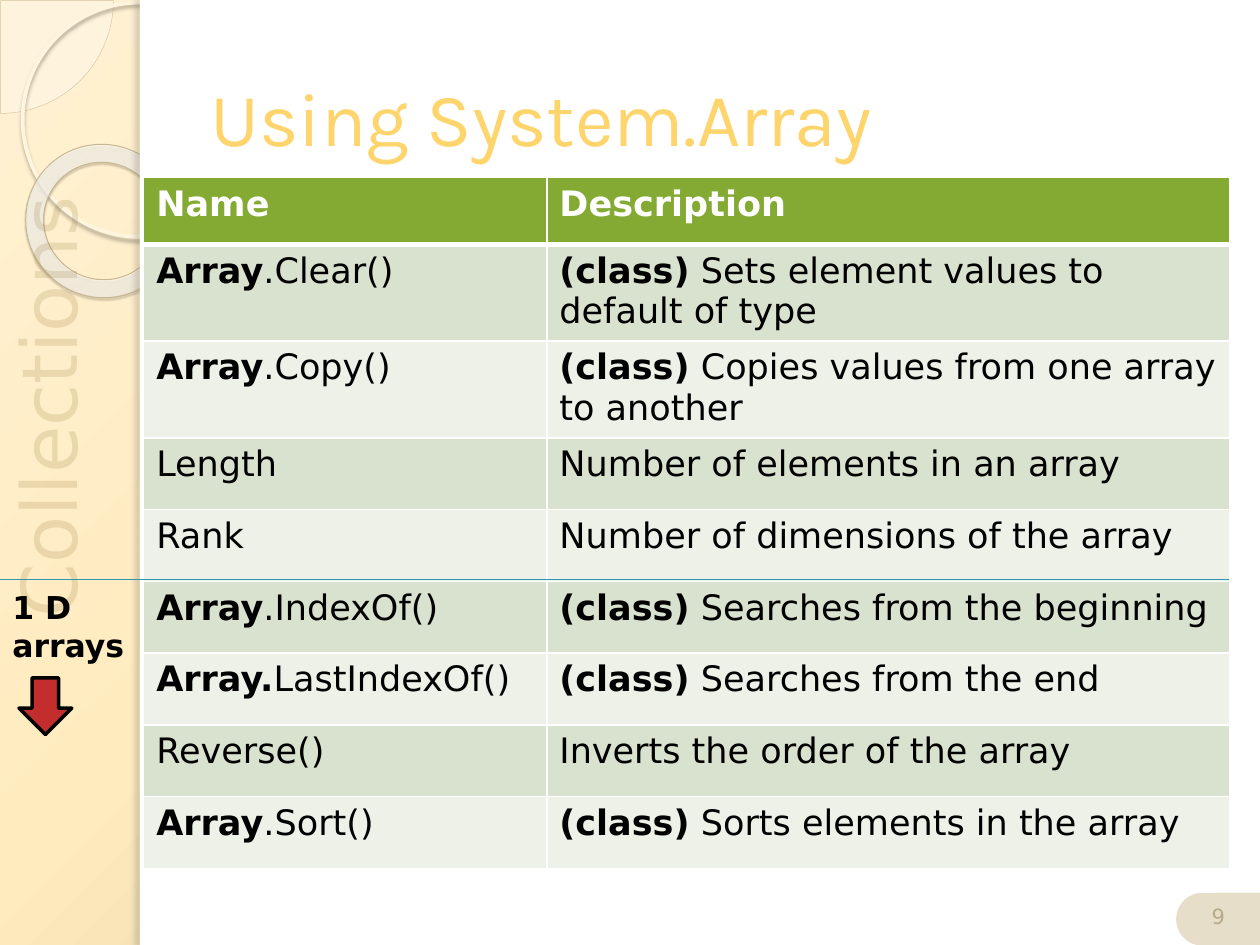
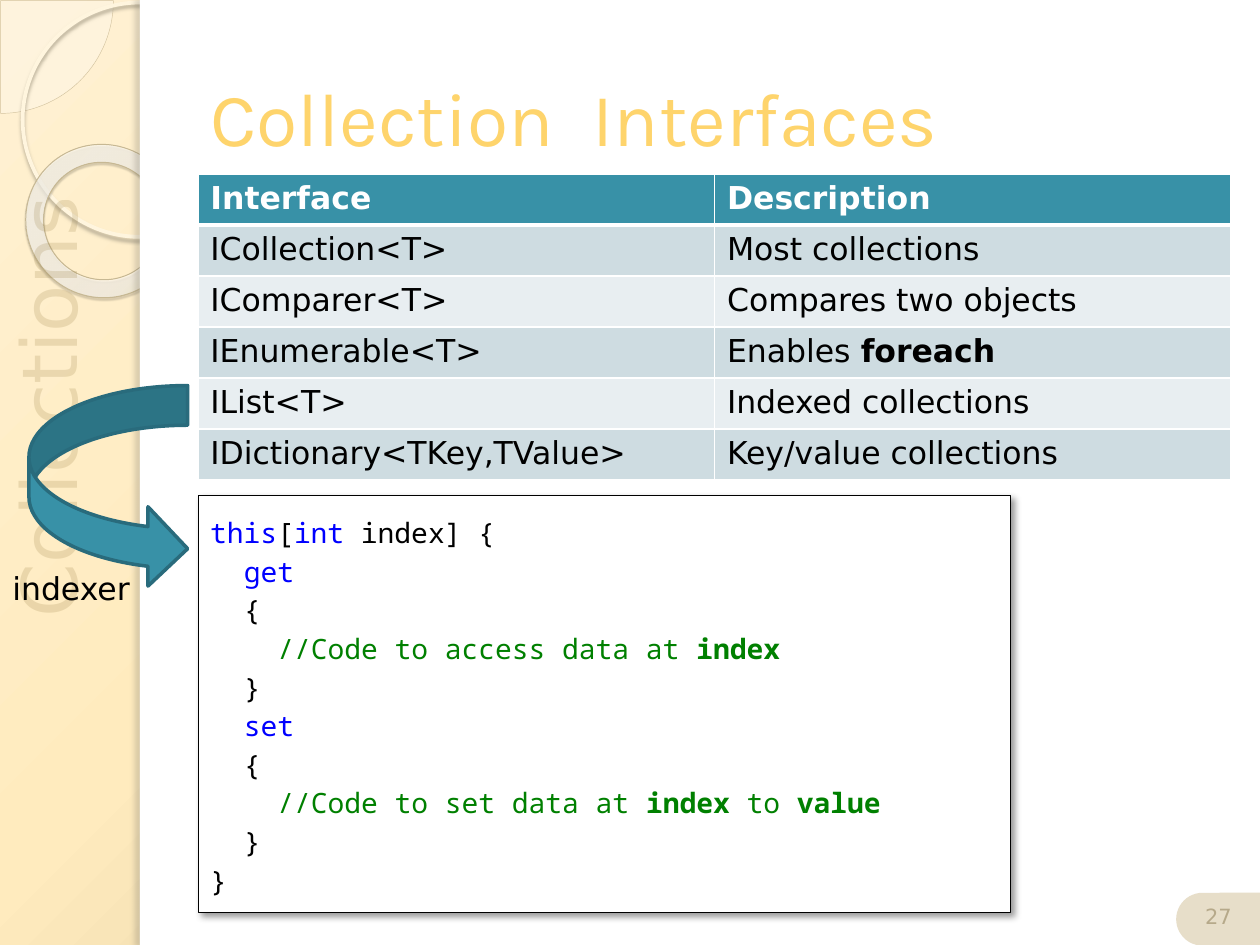
from dataclasses import dataclass
from typing import Optional

from pptx import Presentation
from pptx.dml.color import RGBColor
from pptx.enum.shapes import MSO_CONNECTOR as Line, MSO_SHAPE as Form
from pptx.enum.text import MSO_ANCHOR as Anchor, MSO_AUTO_SIZE as Fit, PP_ALIGN as Align
from pptx.oxml import parse_xml
from pptx.oxml.ns import nsdecls, qn
from pptx.util import Emu, Inches, Pt

COLUMNS, ROWS = 100, 75
WIDTH, HEIGHT = Inches(10), Inches(7.5)
SANS, DISPLAY, MONO = "DejaVu Sans", "Karla", "Noto Sans Mono"
COLORS = {
    "white": "FFFFFF", "black": "000000", "title": "FED46C", "title edge": "4B3E21",
    "wedge": "FEFAF4", "wedge edge": "D3C39F", "ring edge": "FFF5DE",
    "ring shade": "B0A68F", "donut edge": "C7B893", "donut shade": "5A5444",
    "panel shade": "736F63", "side": "C6B07E", "side edge": "967D42",
    "tab": "E7DEC9", "number": "B6A98A",
    "green": "84AA33", "green dark": "D9E2CE", "green light": "EDF1E8",
    "teal": "3891A7", "teal dark": "CEDCE1", "teal light": "E8EEF1",
    "teal edge": "296B7C", "divider": "2D98B2", "red": "C32D2E",
    "keyword": "0000FF", "comment": "008000",
}
SKY = ((0, "FFF1D3", 100), (40, "FFEBBE", 100), (100, "C9B484", 100))
GLASS = ((0, "FFFCF6", 70), (70, "FFFEFB", 55), (100, "F0D28E", 60))


@dataclass(frozen=True)
class Box:
    left: float
    top: float
    width: float
    height: float

    def emu(self) -> tuple:
        return (across(self.left), down(self.top), across(self.width), down(self.height))


@dataclass(frozen=True)
class Style:
    size: float
    font: str = SANS
    color: str = "black"


@dataclass(frozen=True)
class Run:
    text: str
    bold: bool = False
    color: Optional[str] = None
    tracking: float = 0


@dataclass(frozen=True)
class Shade:
    color: str
    alpha: int
    blur: float
    distance: float
    angle: int


@dataclass(frozen=True)
class Grid:
    box: Box
    columns: tuple
    header_height: float
    row_height: float
    size: int
    hue: str
    header: tuple
    body: tuple


def across(columns: float) -> Emu:
    return Emu(round(WIDTH * columns / COLUMNS))


def down(rows: float) -> Emu:
    return Emu(round(HEIGHT * rows / ROWS))


def rgb(name: str) -> RGBColor:
    return RGBColor.from_string(COLORS[name])


def fade(properties, percent: int) -> None:
    color = properties.find(qn("a:solidFill"))[0]
    color.append(parse_xml(f'<a:alpha {nsdecls("a")} val="{percent * 1000}"/>'))


def glow(properties, stops: tuple, focus: tuple) -> None:
    marks = "".join(
        f'<a:gs pos="{at * 1000}"><a:srgbClr val="{color}">'
        f'<a:alpha val="{alpha * 1000}"/></a:srgbClr></a:gs>'
        for at, color, alpha in stops)
    sides = " ".join(f'{side}="{share * 1000}"' for side, share in zip("ltrb", focus))
    gradient = parse_xml(
        f'<a:gradFill {nsdecls("a")} rotWithShape="1"><a:gsLst>{marks}</a:gsLst>'
        f'<a:path path="circle"><a:fillToRect {sides}/></a:path></a:gradFill>')
    properties.replace(properties.find(qn("a:solidFill")), gradient)


def draw(slide, form: Form, box: Box, fill: Optional[str] = None,
         edge: Optional[str] = None, weight: float = 1, turn: float = 0,
         adjust: tuple = (), shade: Optional[Shade] = None):
    shape = slide.shapes.add_shape(form, *box.emu())
    shape.rotation = turn
    for position, value in enumerate(adjust):
        shape.adjustments[position] = value
    if fill:
        shape.fill.solid()
        shape.fill.fore_color.rgb = rgb(fill)
    else:
        shape.fill.background()
    if edge:
        shape.line.color.rgb = rgb(edge)
        shape.line.width = Pt(weight)
    else:
        shape.line.fill.background()
    shape.shadow.inherit = False
    if shade:
        shape._element.spPr.find(qn("a:effectLst")).append(parse_xml(
            f'<a:outerShdw {nsdecls("a")} blurRad="{Pt(shade.blur)}" '
            f'dist="{Pt(shade.distance)}" dir="{shade.angle * 60000}" algn="tl" '
            f'rotWithShape="0"><a:srgbClr val="{COLORS[shade.color]}">'
            f'<a:alpha val="{shade.alpha * 1000}"/></a:srgbClr></a:outerShdw>'))
    return shape


def write(paragraph, runs: tuple, style: Style) -> None:
    for part in runs:
        run = paragraph.add_run()
        run.text = part.text
        run.font.size = Pt(style.size)
        run.font.name = style.font
        run.font.bold = part.bold
        run.font.color.rgb = rgb(part.color or style.color)
        if part.tracking:
            run.font._element.set("spc", str(round(part.tracking * 100)))


def label(slide, box: Box, lines: tuple, style: Style,
          anchor: Anchor = Anchor.TOP, align: Align = Align.LEFT):
    holder = slide.shapes.add_textbox(*box.emu())
    frame = holder.text_frame
    frame.word_wrap = True
    frame.vertical_anchor = anchor
    for index, runs in enumerate(lines):
        paragraph = frame.add_paragraph() if index else frame.paragraphs[0]
        paragraph.alignment = align
        write(paragraph, runs, style)
    return holder


def outline(holder, color: str, weight: float, alpha: int = 100) -> None:
    for run in holder.text_frame.paragraphs[0].runs:
        run.font._element.insert(0, parse_xml(
            f'<a:ln {nsdecls("a")} w="{Pt(weight)}"><a:solidFill>'
            f'<a:srgbClr val="{COLORS[color]}"><a:alpha val="{alpha * 1000}"/>'
            f'</a:srgbClr></a:solidFill></a:ln>'))


def decorate(slide) -> None:
    slide.background.fill.solid()
    glow(slide._element.find(".//" + qn("p:bgPr")), SKY, (-24, -20, 124, 120))
    wedge = draw(slide, Form.PIE, Box(-8.9, -8.9, 17.9, 17.9), "wedge", "wedge edge",
                 0.25, adjust=(0, 54.02))
    fade(wedge._element.spPr, 33)
    draw(slide, Form.OVAL, Box(1.8, 0.2, 18.6, 18.6), None, "ring edge", 2.15,
         shade=Shade("ring shade", 85, 2, 2, 90))
    donut = draw(slide, Form.DONUT, Box(2, 11.5, 12.3, 12.1), "white", "donut edge", 0.58,
                 38.6, (0.118,), Shade("donut shade", 35, 1, 1.2, 75))
    glow(donut._element.spPr, GLASS, (-408, -50, 508, 150))
    draw(slide, Form.RECTANGLE, Box(11.1, 0, 88.9, ROWS), "white")
    draw(slide, Form.RECTANGLE, Box(11.1, 0, 0.8, ROWS), "white",
         shade=Shade("panel shade", 25, 3, 3, 180))
    side = label(slide, Box(2, 0, 7.6, 50), ((Run("Collections"),),),
                 Style(44, SANS, "side"), align=Align.RIGHT)
    side.rotation = 180
    side.text_frame.auto_size = Fit.SHAPE_TO_FIT_TEXT
    side.text_frame._txBody.bodyPr.set("vert", "eaVert")
    lettering = side.text_frame.paragraphs[0]
    lettering.line_spacing = Pt(35)
    fade(lettering.runs[0].font._element, 7)
    outline(side, "side edge", 1.5, 20)
    draw(slide, Form.ROUND_2_SAME_RECTANGLE, Box(94.6, 69.6, 4.2, 6.7), "tab",
         turn=270, adjust=(0.5, 0))


def start(deck, title: tuple, number: int):
    slide = deck.slides.add_slide(deck.slide_layouts[6])
    decorate(slide)
    heading = label(slide, Box(15.7, 3, 82, 12.5), (title,),
                    Style(43, DISPLAY, "title"), Anchor.MIDDLE)
    outline(heading, "title edge", 0.75)
    label(slide, Box(94.2, 69, 5, 5.2), ((Run(str(number)),),),
          Style(12, SANS, "number"), Anchor.BOTTOM, Align.CENTER)
    return slide


def rule_cell(cell, top: float, bottom: float) -> None:
    for side, weight in (("L", 1), ("R", 1), ("T", top), ("B", bottom)):
        cell._tc.get_or_add_tcPr().append(parse_xml(
            f'<a:ln{side} {nsdecls("a")} w="{Pt(weight)}"><a:solidFill>'
            f'<a:srgbClr val="{COLORS["white"]}"/></a:solidFill></a:ln{side}>'))


def tabulate(slide, grid: Grid) -> None:
    heading = tuple((Run(text, True, "white"),) for text in grid.header)
    lines = (heading, *grid.body)
    table = slide.shapes.add_table(len(lines), len(grid.columns), *grid.box.emu()).table
    table.first_row = table.horz_banding = False
    for column, width in zip(table.columns, grid.columns):
        column.width = across(width)
    for index, line in enumerate(lines):
        table.rows[index].height = down(grid.row_height if index else grid.header_height)
        band = f"{grid.hue} {'dark' if index % 2 else 'light'}" if index else grid.hue
        for position, runs in enumerate(line):
            cell = table.cell(index, position)
            rule_cell(cell, 3 if index == 1 else 1, 1 if index else 3)
            cell.fill.solid()
            cell.fill.fore_color.rgb = rgb(band)
            write(cell.text_frame.paragraphs[0], runs, Style(grid.size))


def member(name: str, description: str, owner: str = "") -> tuple:
    if not owner:
        return (Run(name),), (Run(description),)
    return (Run(owner, True), Run(name)), (Run("(class)", True), Run(" " + description))


def array_slide(deck) -> None:
    slide = start(deck, (Run("Using System.Array"),), 9)
    tabulate(slide, Grid(
        Box(11.4, 14.1, 86.2, 50.9), (32, 54.2), 5.3, 5.7, 20, "green",
        ("Name", "Description"), (
            member(".Clear()", "Sets element values to default of type", "Array"),
            member(".Copy()", "Copies values from one array to another", "Array"),
            member("Length", "Number of elements in an array"),
            member("Rank", "Number of dimensions of the array"),
            member(".IndexOf()", "Searches from the beginning", "Array"),
            member("LastIndexOf()", "Searches from the end", "Array."),
            member("Reverse()", "Inverts the order of the array"),
            member(".Sort()", "Sorts elements in the array", "Array"))))
    divider = slide.shapes.add_connector(
        Line.STRAIGHT, across(0), down(46), across(97.5), down(46))
    divider.line.color.rgb = rgb("divider")
    divider.line.width = Pt(0.75)
    divider._element.spPr.append(parse_xml(f'<a:effectLst {nsdecls("a")}/>'))
    label(slide, Box(0, 46.2, 11.4, 7.1), ((Run("1 D", True),), (Run("arrays", True),)),
          Style(18))
    draw(slide, Form.DOWN_ARROW, Box(1.5, 53.8, 4.2, 4.5), "red", "black", 2)


def accessor(keyword: str, comment: tuple) -> tuple:
    note = tuple(Run(text, bold, "comment") for text, bold in comment)
    return ((1, (Run(keyword, color="keyword"),)), (1, (Run("{"),)),
            (2, note), (1, (Run("}"),)))


def code_panel(slide, box: Box, lines: tuple) -> None:
    style = Style(16, MONO)
    panel = draw(slide, Form.RECTANGLE, box, "white", "black", 0.25,
                 shade=Shade("black", 40, 4, 3, 45))
    frame = panel.text_frame
    frame.word_wrap = True
    frame.vertical_anchor = Anchor.MIDDLE
    for index, (depth, runs) in enumerate(lines):
        paragraph = frame.add_paragraph() if index else frame.paragraphs[0]
        paragraph.alignment = Align.LEFT
        paragraph.line_spacing = 1.15
        paragraph._p.get_or_add_pPr().set("marL", str(Pt(depth * 1.2 * style.size)))
        write(paragraph, runs, style)


def interface_slide(deck) -> None:
    slide = start(deck, (Run("Collection"), Run(" ", tracking=12), Run("Interfaces")), 27)
    tabulate(slide, Grid(
        Box(15.7, 13.8, 82, 24.3), (41, 41), 4.05, 4.05, 18, "teal",
        ("Interface", "Description"), (
            member("ICollection<T>", "Most collections"),
            member("IComparer<T>", "Compares two objects"),
            ((Run("IEnumerable<T>"),), (Run("Enables "), Run("foreach", True))),
            member("IList<T>", "Indexed collections"),
            member("IDictionary<TKey,TValue>", "Key/value collections"))))
    signature = (Run("this", color="keyword"), Run("["), Run("int", color="keyword"),
                 Run(" index] {"))
    code_panel(slide, Box(15.7, 39.3, 64.5, 33.1), (
        (0, signature),
        *accessor("get", (("//Code to access data at ", False), ("index", True))),
        *accessor("set", (("//Code to set data at ", False), ("index", True),
                          (" to ", False), ("value", True))),
        (0, (Run("}"),))))
    draw(slide, Form.CURVED_RIGHT_ARROW, Box(2.3, 30.6, 12.6, 16.1), "teal", "teal edge", 2)
    label(slide, Box(0, 44.7, 12.6, 4), ((Run("indexer"),),), Style(18))


deck = Presentation()
deck.slide_width, deck.slide_height = WIDTH, HEIGHT
array_slide(deck)
interface_slide(deck)
deck.save("out.pptx")
